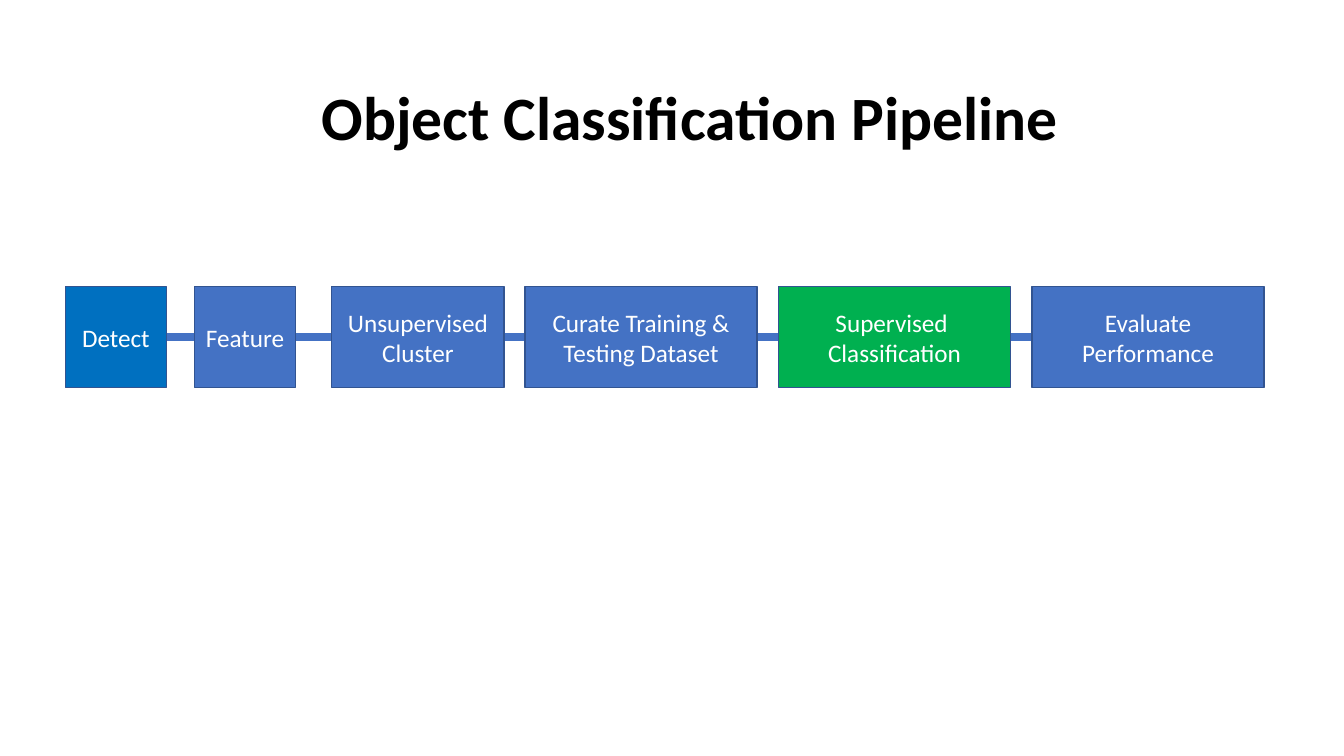
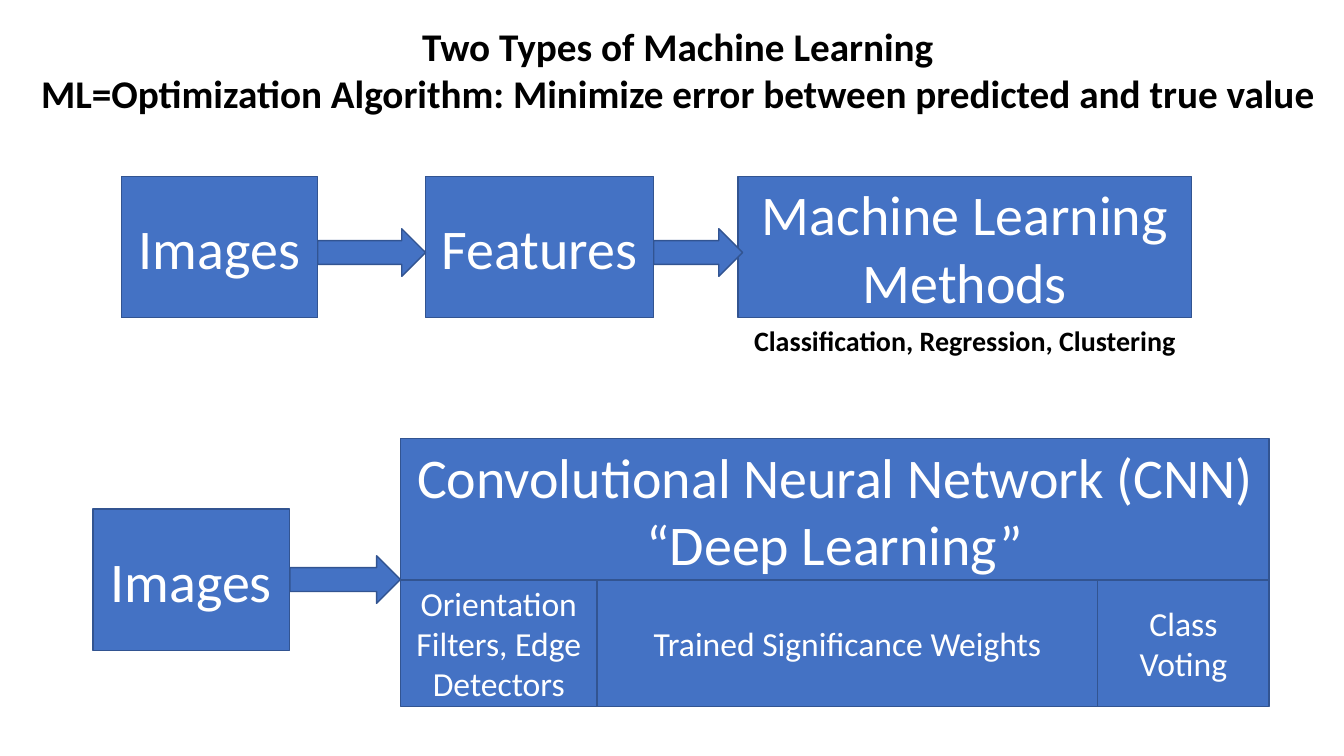
from lxml import etree
from pptx import Presentation
from pptx.dml import color as dml
from pptx.enum import shapes, text
from pptx.oxml import ns
from pptx.util import Pt

COLORS = {
    "blue": "4472C4",
    "outline": "325491",
    "detect": "0070C0",
    "green": "00B050",
    "white": "FFFFFF",
    "black": "000000",
}
FONT = "Calibri"
TITLE_ONLY = 5
BOX_HEIGHT = 101
ARROW_HEIGHT = 34


def rgb(name):
    return dml.RGBColor.from_string(COLORS[name])


def write(shape, lines, size, color="white", bold=False, wrap=True):
    frame = shape.text_frame
    frame.word_wrap = wrap
    frame.auto_size = text.MSO_AUTO_SIZE.NONE
    frame.vertical_anchor = text.MSO_ANCHOR.MIDDLE
    for index, line in enumerate(lines):
        paragraph = frame.paragraphs[0] if index == 0 else frame.add_paragraph()
        paragraph.alignment = text.PP_ALIGN.CENTER
        run = paragraph.add_run()
        run.text = line
        run.font.name = FONT
        run.font.size = Pt(size)
        run.font.bold = bold
        run.font.color.rgb = rgb(color)


def add_block(container, kind, left, top, width, height, fill="blue"):
    shape = container.add_shape(kind, Pt(left), Pt(top), Pt(width), Pt(height))
    shape.shadow.inherit = False
    shape.fill.solid()
    shape.fill.fore_color.rgb = rgb(fill)
    shape.line.color.rgb = rgb("outline")
    shape.line.width = Pt(1)
    return shape


def add_box(container, lines, size, left, top, width, height, fill="blue"):
    kind = shapes.MSO_SHAPE.RECTANGLE
    write(add_block(container, kind, left, top, width, height, fill), lines, size)


def add_arrow(container, left, top, width):
    add_block(container, shapes.MSO_SHAPE.RIGHT_ARROW, left, top, width, ARROW_HEIGHT)


def add_titled_slide(presentation, lines, size, left, top, width, height):
    slide = presentation.slides.add_slide(presentation.slide_layouts[TITLE_ONLY])
    title = slide.shapes.title
    title.left, title.top = Pt(left), Pt(top)
    title.width, title.height = Pt(width), Pt(height)
    write(title, lines, size, "black", bold=True)
    return slide


def add_pipeline(slide, left, top):
    height = 72
    wide, pitch, wide_start = 165.6, 181.1, 328.3
    stages = [
        (["Detect"], 0, 72, "detect"),
        (["Feature"], 92.3, 72, "blue"),
        (["Unsupervised", "Cluster"], 190.1, 123.3, "blue"),
        (["Curate Training & Testing Dataset"], wide_start, wide, "blue"),
        (["Supervised ", "Classification"], wide_start + pitch, wide, "green"),
        (["Evaluate", "Performance"], wide_start + 2 * pitch, wide, "blue"),
    ]
    middle = Pt(top + height / 2)
    line = slide.shapes.add_connector(
        shapes.MSO_CONNECTOR.STRAIGHT, Pt(left + 67), middle, Pt(left + 731.5), middle
    )
    line.line.color.rgb = rgb("blue")
    line.line.width = Pt(6)
    etree.SubElement(line._element.spPr, ns.qn("a:effectLst"))
    for lines, offset, width, fill in stages:
        add_box(slide.shapes, lines, 18, left + offset, top, width, height, fill)


def add_feature_flow(slide, left, top):
    steps = [
        ("Images", 0, 140.4, 77),
        ("Features", 217.4, 163, 63.4),
        ("Machine Learning Methods", 440.6, 324, None),
    ]
    for label, offset, width, arrow_width in steps:
        add_box(slide.shapes, [label], 40, left + offset, top, width, BOX_HEIGHT)
    for label, offset, width, arrow_width in steps:
        if arrow_width:
            add_arrow(slide.shapes, left + offset + width, top + 37.4, arrow_width)
    caption = slide.shapes.add_textbox(
        Pt(left + 443.5), Pt(top + 101.5), Pt(318.2), Pt(31.5)
    )
    write(
        caption, ["Classification, Regression, Clustering"], 20, "black",
        bold=True, wrap=False,
    )


def add_network_flow(slide, left, top):
    group = slide.shapes.add_group_shape().shapes
    images_width, network_offset = 140.6, 219.6
    add_box(group, ["Images"], 40, left, top + 50.4, images_width, BOX_HEIGHT)
    network_left = left + network_offset
    layers = [
        ("Orientation Filters, Edge Detectors", 140.6),
        ("Trained Significance Weights", 357.5),
        ("Class Voting", 122.5),
    ]
    network_width = sum(width for label, width in layers)
    add_box(
        group, ["Convolutional Neural Network (CNN)", "“Deep Learning”"], 40,
        network_left, top, network_width, BOX_HEIGHT,
    )
    layer_left = network_left
    for label, width in layers:
        add_box(group, [label], 24, layer_left, top + BOX_HEIGHT, width, 90.3)
        layer_left += width
    arrow_left = left + images_width
    add_arrow(slide.shapes, arrow_left, top + 83.8, network_left - arrow_left)


def build_pipeline_slide(presentation):
    slide = add_titled_slide(
        presentation, ["Object Classification Pipeline"], 44, 206, 52.5, 574, 60.5
    )
    add_pipeline(slide, 46.8, 204.8)


def build_learning_slide(presentation):
    lines = [
        "Two Types of Machine Learning",
        "ML=Optimization Algorithm: Minimize error between predicted and true value",
    ]
    slide = add_titled_slide(presentation, lines, 28, 4, 12.2, 960, 75)
    add_feature_flow(slide, 86.6, 126)
    add_network_flow(slide, 66.4, 313.2)


def main():
    presentation = Presentation()
    presentation.slide_width = Pt(960)
    presentation.slide_height = Pt(540)
    build_pipeline_slide(presentation)
    build_learning_slide(presentation)
    presentation.save("out.pptx")


if __name__ == "__main__":
    main()
